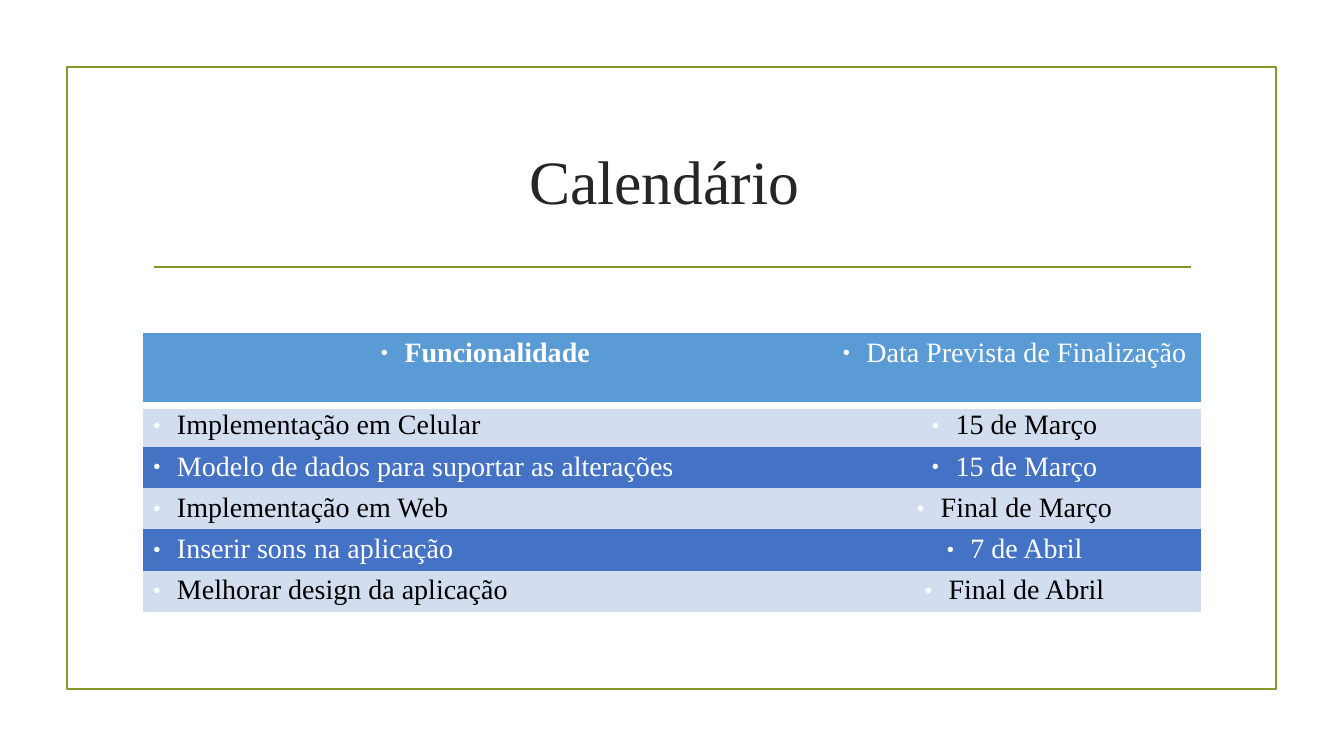
from lxml import etree
from pptx import Presentation
from pptx.dml.color import RGBColor
from pptx.enum.shapes import MSO_CONNECTOR, MSO_SHAPE
from pptx.enum.text import MSO_ANCHOR, PP_ALIGN
from pptx.oxml.ns import qn
from pptx.util import Pt

CENTER, LEFT = PP_ALIGN.CENTER, PP_ALIGN.LEFT
MIDDLE = MSO_ANCHOR.MIDDLE
RECTANGLE, STRAIGHT = MSO_SHAPE.RECTANGLE, MSO_CONNECTOR.STRAIGHT
TITLE_ONLY = 5
FONT = "Times New Roman"
PLAIN_TABLE = "{2D5ABB26-0587-4C30-8999-92F81FD0307C}"
COLORS = {
    "olive": "83992A", "title": "262626", "white": "FFFFFF",
    "black": "000000", "header": "5B9BD5", "light": "D2DEEF",
    "dark": "4472C4",
}
HEADINGS = ("Funcionalidade", "Data Prevista de Finalização")
SCHEDULE = [
    ("Implementação em Celular", "15 de Março"),
    ("Modelo de dados para suportar as alterações", "15 de Março"),
    ("Implementação em Web", "Final de Março"),
    ("Inserir sons na aplicação", "7 de Abril"),
    ("Melhorar design da aplicação", "Final de Abril"),
]


def color(name):
    """Return the named colour."""
    return RGBColor.from_string(COLORS[name])


def add_span(para, text, size, ink, bold=False):
    """Add one formatted run to a paragraph."""
    span = para.add_run()
    span.text = text
    span.font.name = FONT
    span.font.size = Pt(size)
    span.font.bold = bold
    span.font.color.rgb = color(ink)


def add_color(parent, name):
    """Append a colour element to an XML parent."""
    etree.SubElement(parent, qn("a:srgbClr"), val=COLORS[name])


def add_bullet(para):
    """Give a paragraph a small white hanging bullet."""
    props = para._p.get_or_add_pPr()
    props.set("marL", str(Pt(17)))
    props.set("indent", str(Pt(-17)))
    add_color(etree.SubElement(props, qn("a:buClr")), "white")
    etree.SubElement(props, qn("a:buSzPct"), val="45000")
    etree.SubElement(props, qn("a:buFont"), typeface=FONT)
    etree.SubElement(props, qn("a:buChar"), char="●")


def add_bottom_border(cell, width):
    """Draw a white border under a table cell."""
    props = cell._tc.get_or_add_tcPr()
    border = etree.Element(qn("a:lnB"), w=str(Pt(width)))
    add_color(etree.SubElement(border, qn("a:solidFill")), "white")
    props.insert(0, border)


def fill_cell(cell, text, fill, ink, align, bold=False):
    """Fill a table cell with a bulleted line of text."""
    cell.fill.solid()
    cell.fill.fore_color.rgb = color(fill)
    cell.margin_top = cell.margin_bottom = Pt(3.2)
    para = cell.text_frame.paragraphs[0]
    para.alignment = align
    add_bullet(para)
    add_span(para, text, 20, ink, bold)


def add_frame(page):
    """Draw the outline around the page."""
    frame = page.shapes.add_shape(RECTANGLE, Pt(47.7), Pt(48), Pt(864), Pt(444))
    frame.shadow.inherit = False
    frame.fill.background()
    frame.line.color.rgb = color("olive")
    frame.line.width = Pt(1.25)


def add_rule(page):
    """Draw the line under the title."""
    rule = page.shapes.add_connector(STRAIGHT, Pt(110), Pt(190.8), Pt(851), Pt(190.8))
    rule.line.color.rgb = color("olive")
    rule.line.width = Pt(1.25)
    etree.SubElement(rule._element.spPr, qn("a:effectLst"))


def set_title(page, text):
    """Place and format the title."""
    title = page.shapes.title
    title.left, title.top, title.width, title.height = Pt(102.2), Pt(77), Pt(756), Pt(103)
    title.text_frame.vertical_anchor = MIDDLE
    para = title.text_frame.paragraphs[0]
    para.alignment = CENTER
    add_span(para, text, 44, "title")


def add_schedule(page):
    """Add the table of features and planned dates."""
    holder = page.shapes.add_table(
        len(SCHEDULE) + 1, 2, Pt(102.2), Pt(237.6), Pt(756), Pt(199.5))
    table = holder.table
    table._tbl.tblPr.find(qn("a:tableStyleId")).text = PLAIN_TABLE
    table.columns[0].width, table.columns[1].width = Pt(489), Pt(267)
    for row in table.rows:
        row.height = Pt(29.5)
    table.rows[0].height = Pt(52)

    for column, heading in enumerate(HEADINGS):
        cell = table.cell(0, column)
        fill_cell(cell, heading, "header", "white", CENTER, bold=column == 0)
        add_bottom_border(cell, 6)
    for row, entry in enumerate(SCHEDULE, start=1):
        fill, ink = ("light", "black") if row % 2 else ("dark", "white")
        for column, align in enumerate((LEFT, CENTER)):
            fill_cell(table.cell(row, column), entry[column], fill, ink, align)


def main():
    """Build and save the calendar slide."""
    deck = Presentation()
    deck.slide_width, deck.slide_height = Pt(960), Pt(540)
    page = deck.slides.add_slide(deck.slide_layouts[TITLE_ONLY])
    add_frame(page)
    add_rule(page)
    set_title(page, "Calendário ")
    add_schedule(page)
    deck.save("out.pptx")


if __name__ == "__main__":
    main()
